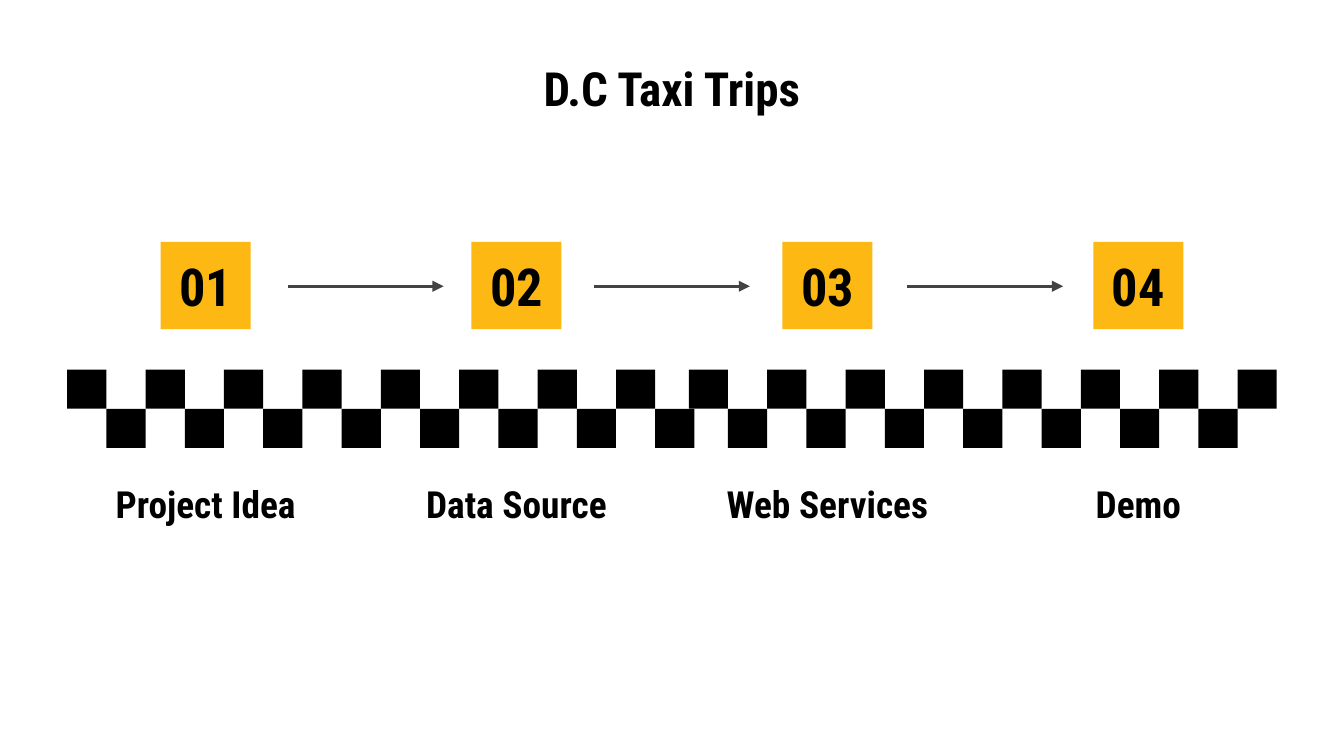
from dataclasses import dataclass

from lxml.etree import SubElement
from pptx import Presentation
from pptx.dml.color import RGBColor
from pptx.enum.shapes import MSO_CONNECTOR, MSO_SHAPE
from pptx.enum.text import MSO_ANCHOR, PP_ALIGN
from pptx.oxml.ns import qn
from pptx.util import Inches, Pt

# Content
TITLE = "D.C Taxi Trips"
STEPS = ["Project Idea", "Data Source", "Web Services", "Demo"]


@dataclass(frozen=True)
class Theme:
    font: str = "Roboto Condensed"
    black: RGBColor = RGBColor(0x00, 0x00, 0x00)
    white: RGBColor = RGBColor(0xFF, 0xFF, 0xFF)
    yellow: RGBColor = RGBColor(0xFD, 0xB8, 0x13)
    gray: RGBColor = RGBColor(0x43, 0x43, 0x43)
    title_size: float = 25.2
    number_size: float = 28
    label_size: float = 20
    arrow_width: float = 1.5


THEME = Theme()

# Layout grid, in inches, on a 16:9 slide
SLIDE_WIDTH = 10
SLIDE_HEIGHT = SLIDE_WIDTH * 9 / 16
MARGIN = 0.5
FIRST_CENTER = 1.53
COLUMN_PITCH = (SLIDE_WIDTH - 2 * FIRST_CENTER) / (len(STEPS) - 1)
NUMBER_TOP, NUMBER_WIDTH, NUMBER_HEIGHT = 1.8, 0.67, 0.65
LABEL_TOP, LABEL_WIDTH, LABEL_HEIGHT = 3.57, 1.81, 0.36
ARROW_STARTS, ARROW_LENGTH, ARROW_TOP = [2.14, 4.42, 6.75], 1.16, 2.13
CHECKER_TOP, CHECKER_SIDE = 2.75, 7 / 24
CHECKER_STRIPS = [(MARGIN, 16), (41 / 8, 15)]  # left edge, number of squares


def write_text(shape, text, size):
    frame = shape.text_frame
    frame.text = text
    frame.word_wrap = True
    frame.vertical_anchor = MSO_ANCHOR.MIDDLE
    frame.margin_left = frame.margin_right = Inches(0.1)
    frame.margin_top = frame.margin_bottom = Inches(0.1)
    paragraph = frame.paragraphs[0]
    paragraph.alignment = PP_ALIGN.CENTER
    paragraph.font.name = THEME.font
    paragraph.font.size = Pt(size)
    paragraph.font.bold = True
    paragraph.font.color.rgb = THEME.black


def add_rectangle(shapes, left, top, width, height, color):
    rectangle = shapes.add_shape(
        MSO_SHAPE.RECTANGLE, Inches(left), Inches(top), Inches(width), Inches(height)
    )
    rectangle.shadow.inherit = False
    rectangle.fill.solid()
    rectangle.fill.fore_color.rgb = color
    rectangle.line.fill.background()
    return rectangle


def add_title(slide):
    title = slide.shapes.title
    title.left, title.top = Inches(MARGIN), Inches(0.45)
    title.width, title.height = Inches(SLIDE_WIDTH - 2 * MARGIN), Inches(0.41)
    write_text(title, TITLE, THEME.title_size)


def add_checker(slide):
    for strip_left, count in CHECKER_STRIPS:
        strip = slide.shapes.add_group_shape()
        for index in range(count):
            left = strip_left + index * CHECKER_SIDE
            top = CHECKER_TOP + index % 2 * CHECKER_SIDE
            add_rectangle(strip.shapes, left, top, CHECKER_SIDE, CHECKER_SIDE, THEME.black)


def add_step(slide, index, name):
    center = FIRST_CENTER + index * COLUMN_PITCH
    step = slide.shapes.add_group_shape()
    label = step.shapes.add_textbox(
        Inches(center - LABEL_WIDTH / 2), Inches(LABEL_TOP),
        Inches(LABEL_WIDTH), Inches(LABEL_HEIGHT),
    )
    write_text(label, name, THEME.label_size)
    number = add_rectangle(
        step.shapes, center - NUMBER_WIDTH / 2, NUMBER_TOP,
        NUMBER_WIDTH, NUMBER_HEIGHT, THEME.yellow,
    )
    write_text(number, f"{index + 1:02d}", THEME.number_size)


def add_arrows(slide):
    arrows = slide.shapes.add_group_shape()
    for start in ARROW_STARTS:
        arrow = arrows.shapes.add_connector(
            MSO_CONNECTOR.STRAIGHT, Inches(start), Inches(ARROW_TOP),
            Inches(start + ARROW_LENGTH), Inches(ARROW_TOP),
        )
        arrow.line.color.rgb = THEME.gray
        arrow.line.width = Pt(THEME.arrow_width)
        # Arrowhead, and no shadow
        SubElement(arrow.line._get_or_add_ln(), qn("a:tailEnd"), type="triangle")
        SubElement(arrow._element.spPr, qn("a:effectLst"))


def main():
    presentation = Presentation()
    presentation.slide_width = Inches(SLIDE_WIDTH)
    presentation.slide_height = Inches(SLIDE_HEIGHT)
    slide = presentation.slides.add_slide(presentation.slide_layouts.get_by_name("Title Only"))
    slide.background.fill.solid()
    slide.background.fill.fore_color.rgb = THEME.white

    add_title(slide)
    add_checker(slide)
    for index, name in enumerate(STEPS):
        add_step(slide, index, name)
    add_arrows(slide)
    presentation.save("out.pptx")


if __name__ == "__main__":
    main()
